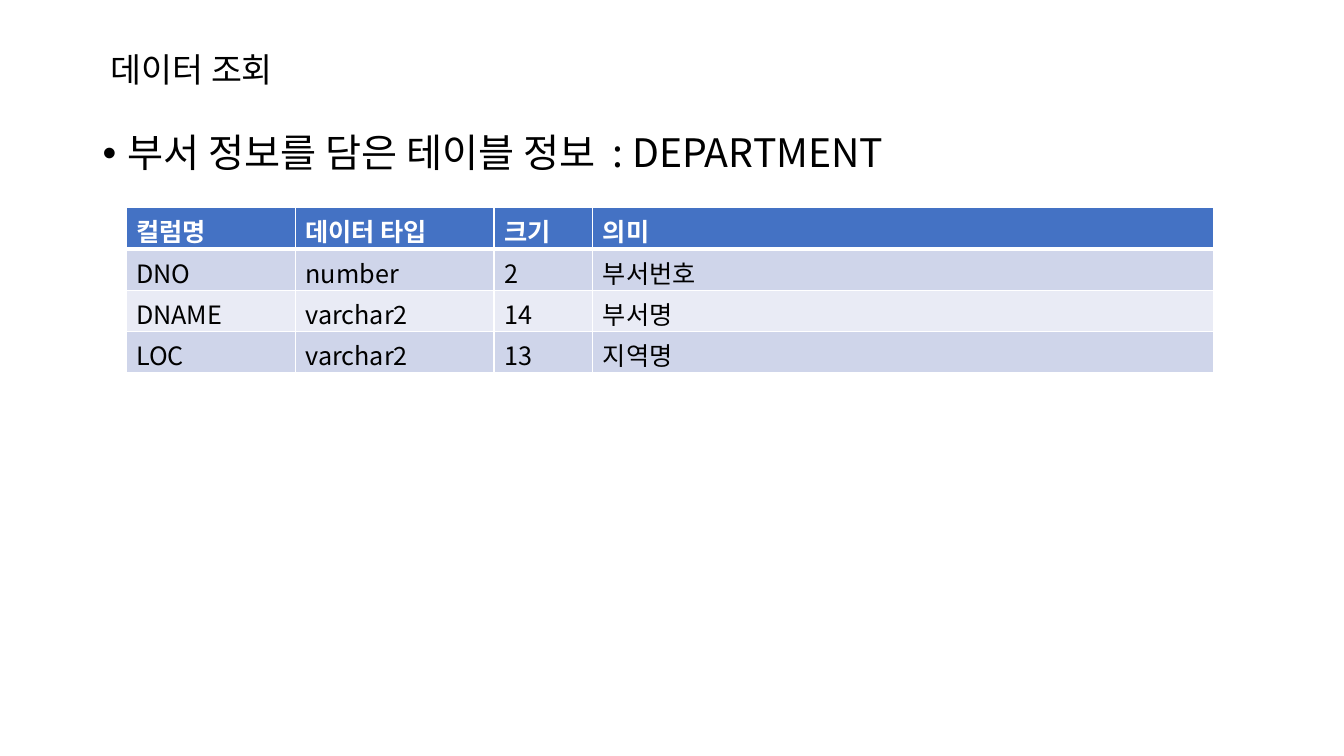
from lxml import etree
from pptx import Presentation
from pptx.dml.color import RGBColor
from pptx.enum.text import MSO_ANCHOR
from pptx.oxml.ns import qn
from pptx.util import Inches, Pt

FONT = "Noto Sans CJK KR"
BLACK, WHITE, HEADER_BLUE = "000000", "FFFFFF", "4472C4"
BANDS = ["CFD5EA", "E9EBF5"]

TITLE = "데이터 조회"
BULLET = "부서 정보를 담은 테이블 정보  : DEPARTMENT"
COLUMNS = [("컬럼명", 1.68), ("데이터 타입", 1.97), ("크기", 0.98), ("의미", 6.16)]
ROWS = [
    ("DNO", "number", "2", "부서번호"),
    ("DNAME", "varchar2", "14", "부서명"),
    ("LOC", "varchar2", "13", "지역명"),
]
TABLE_LEFT, TABLE_TOP, ROW_HEIGHT = 1.25, 2.06, 0.41


def rgb(value):
    return RGBColor.from_string(value)


def write(tf, text, size, color=BLACK, bold=False):
    p = tf.paragraphs[0]
    r = p.add_run()
    r.text = text
    for name, value in {"name": FONT, "size": Pt(size), "bold": bold}.items():
        setattr(r.font, name, value)
    r.font.color.rgb = rgb(color)
    etree.SubElement(r._r.get_or_add_rPr(), qn("a:ea"), typeface=FONT)
    return p


def add_text(slide, box, text, size, anchor):
    sp = slide.shapes.add_textbox(*map(Inches, box))
    tf = sp.text_frame
    tf.word_wrap = True
    tf.vertical_anchor = anchor
    p = write(tf, text, size)
    p.line_spacing = 0.9
    return p


def add_bullet(p, indent):
    pPr = p._p.get_or_add_pPr()
    pPr.set("marL", str(Inches(indent)))
    pPr.set("indent", str(-Inches(indent)))
    etree.SubElement(pPr, qn("a:buFont"), typeface="Arial")
    etree.SubElement(pPr, qn("a:buChar"), char="•")


def set_borders(cell, widths):
    """Draw white cell borders; widths are points by side."""
    tcPr = cell._tc.get_or_add_tcPr()
    for i, (side, width) in enumerate(widths.items()):
        ln = etree.Element(qn(f"a:ln{side}"), w=str(Pt(width)))
        fill = etree.SubElement(ln, qn("a:solidFill"))
        etree.SubElement(fill, qn("a:srgbClr"), val=WHITE)
        tcPr.insert(i, ln)


def add_table(slide):
    grid = [[name for name, _ in COLUMNS], *ROWS]
    width = sum(w for _, w in COLUMNS)
    box = (TABLE_LEFT, TABLE_TOP, width, ROW_HEIGHT * len(grid))
    table = slide.shapes.add_table(len(grid), len(COLUMNS), *map(Inches, box)).table
    for col, (_, w) in zip(table.columns, COLUMNS):
        col.width = Inches(w)
    for i, values in enumerate(grid):
        table.rows[i].height = Inches(ROW_HEIGHT)
        header = i == 0
        for j, text in enumerate(values):
            cell = table.cell(i, j)
            cell.fill.solid()
            cell.fill.fore_color.rgb = rgb(HEADER_BLUE if header else BANDS[(i - 1) % 2])
            write(cell.text_frame, text, 18, WHITE if header else BLACK, header)
            set_borders(cell, {"L": 1, "R": 1, "T": 3 if i == 1 else 1, "B": 3 if header else 1})


def main():
    prs = Presentation()
    prs.slide_width, prs.slide_height = Inches(13.33), Inches(7.5)
    slide = prs.slides.add_slide(prs.slide_layouts[6])
    add_text(slide, (1, 0.4, 3.71, 0.62), TITLE, 24, MSO_ANCHOR.MIDDLE)
    p = add_text(slide, (0.92, 1.28, 11.5, 4.76), BULLET, 28, MSO_ANCHOR.TOP)
    p.space_before = Pt(10)
    add_bullet(p, 0.25)
    add_table(slide)
    prs.save("out.pptx")


if __name__ == "__main__":
    main()
